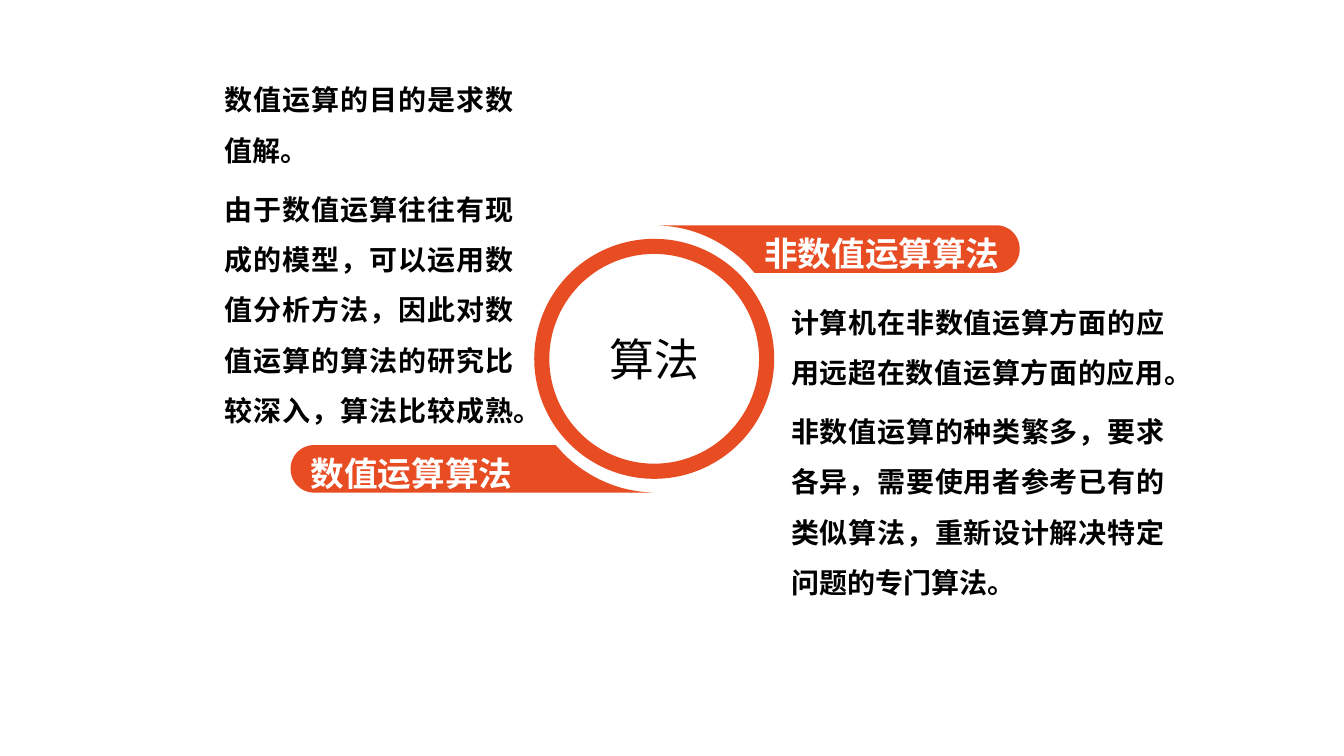
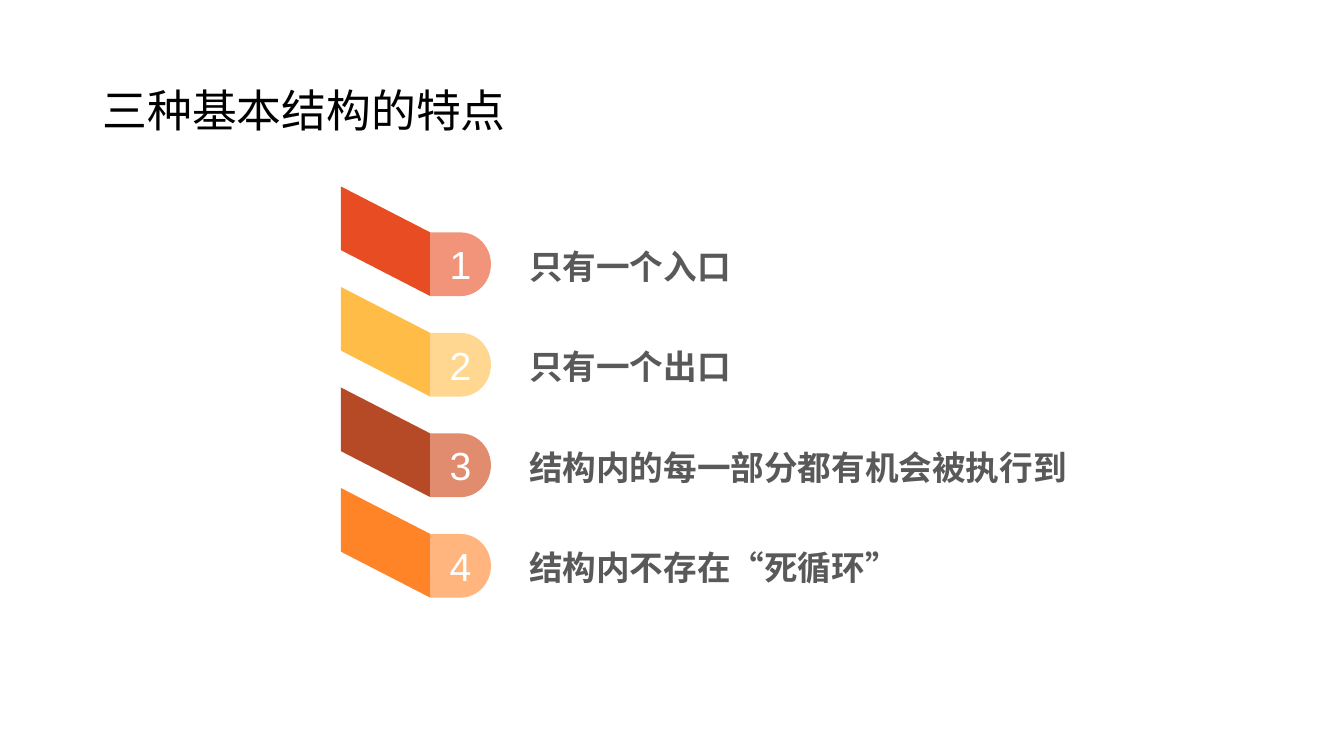
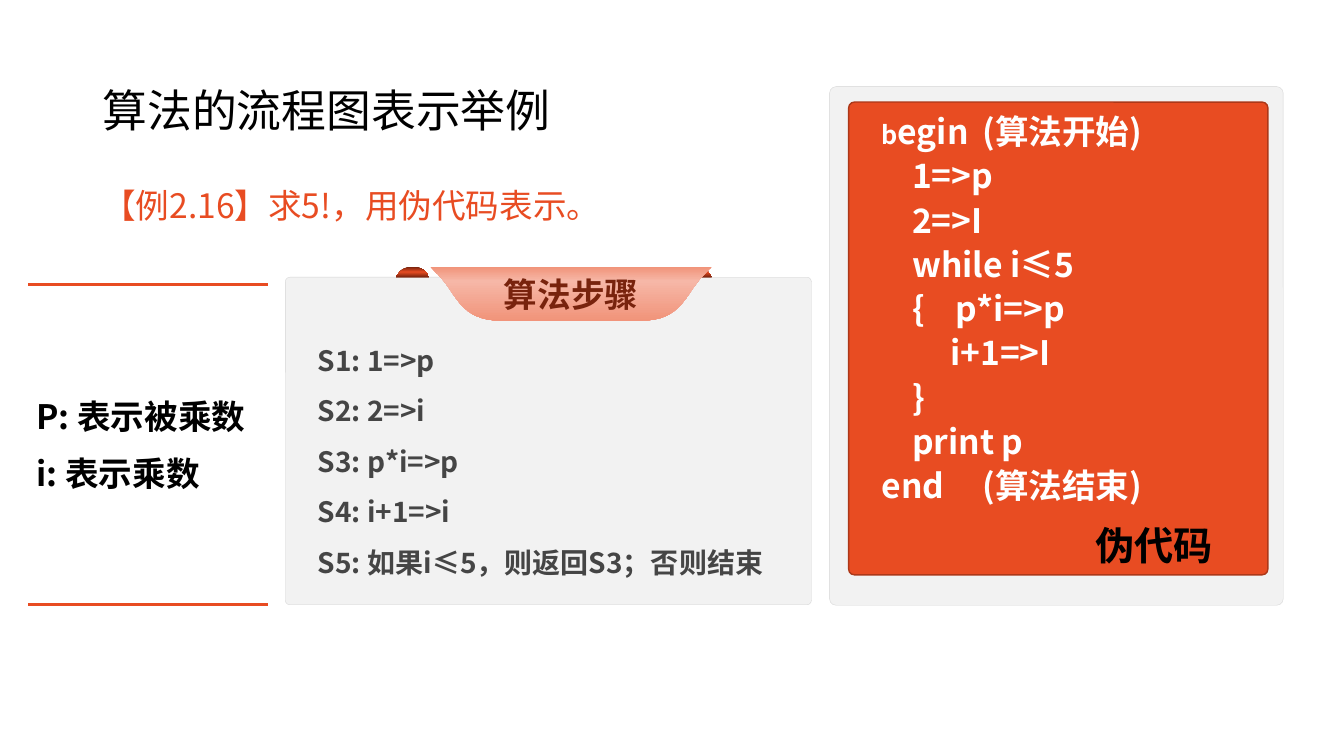
from copy import deepcopy

from lxml import etree
from pptx import Presentation
from pptx.dml.color import RGBColor
from pptx.enum.shapes import MSO_CONNECTOR, MSO_SHAPE as SHAPE
from pptx.enum.text import MSO_ANCHOR as ANCHOR, MSO_AUTO_SIZE, PP_ALIGN as ALIGN
from pptx.oxml.ns import qn
from pptx.util import Pt

NOTO = "Noto Sans CJK SC"
TITLE_ONLY, BLANK = 5, 6

BLACK = RGBColor(0x00, 0x00, 0x00)
WHITE = RGBColor(0xFF, 0xFF, 0xFF)
NUMBER_WHITE = RGBColor(0xFE, 0xFF, 0xFF)
RED = RGBColor(0xE8, 0x4C, 0x22)
SALMON = RGBColor(0xF1, 0x94, 0x7A)
PALE_SALMON = RGBColor(0xF6, 0xB7, 0xA7)
MAROON = RGBColor(0x78, 0x23, 0x0D)
RED_EDGE = RGBColor(0xAC, 0x38, 0x19)
YELLOW = RGBColor(0xFF, 0xBD, 0x47)
PALE_YELLOW = RGBColor(0xFF, 0xD7, 0x91)
RUST = RGBColor(0xB6, 0x49, 0x26)
PALE_RUST = RGBColor(0xE1, 0x8B, 0x6F)
ORANGE = RGBColor(0xFF, 0x84, 0x27)
PALE_ORANGE = RGBColor(0xFF, 0xB5, 0x7D)
PANEL = RGBColor(0xF2, 0xF2, 0xF2)
PANEL_EDGE = RGBColor(0xD5, 0xD5, 0xD5)
GREY = RGBColor(0x59, 0x59, 0x59)
DARK_GREY = RGBColor(0x45, 0x45, 0x45)

SPACED = dict(alignment=ALIGN.JUSTIFY, space_before=Pt(6), space_after=Pt(6))
PROSE = dict(size=20, bold=True, margins=(0, 11.5, 14.4, 11.5),
             alignment=ALIGN.JUSTIFY, line_spacing=1.5, space_before=Pt(6))


def write(sp, lines, size, color=BLACK, bold=False, latin=NOTO,
          anchor=ANCHOR.MIDDLE, margins=(7.2, 3.6, 7.2, 3.6), **para):
    """Fill a shape with paragraphs; a line is a string or a list of (text, size)."""
    tf = sp.text_frame
    left, top, right, bottom = map(Pt, margins)
    frame = dict(word_wrap=True, auto_size=MSO_AUTO_SIZE.NONE, vertical_anchor=anchor,
                 margin_left=left, margin_top=top, margin_right=right, margin_bottom=bottom)
    for name, value in frame.items():
        setattr(tf, name, value)
    for i, line in enumerate(lines):
        p = tf.paragraphs[0] if i == 0 else tf.add_paragraph()
        for name, value in ({"alignment": ALIGN.LEFT} | para).items():
            if i or name != "space_before":
                setattr(p, name, value)
        for text, points in [(line, size)] if isinstance(line, str) else line:
            r = p.add_run()
            r.text = text
            for name, value in dict(name=latin, size=Pt(points), bold=bold).items():
                setattr(r.font, name, value)
            r.font.color.rgb = color
            etree.SubElement(r.font._element, qn("a:ea"), typeface=NOTO)


def paint(sp, fill, edge=None, width=0):
    """Fill with a colour, or downwards with a list of (position, colour) stops."""
    sp.shadow.inherit = False
    if isinstance(fill, list):
        sp.fill.gradient()
        sp.fill.gradient_angle = 270
        stops = sp._element.spPr.find(".//" + qn("a:gsLst"))
        while len(stops) < len(fill):
            stops.append(deepcopy(stops[0]))
        for stop, (position, color) in zip(sp.fill.gradient_stops, fill):
            stop.position = position
            stop.color.rgb = color
    else:
        sp.fill.solid()
        sp.fill.fore_color.rgb = fill
    if edge is None:
        sp.line.fill.background()
    else:
        sp.line.color.rgb = edge
        sp.line.width = Pt(width)


def preset(s, kind, box, fill, edge=None, width=0, adjust=None):
    sp = s.shapes.add_shape(kind, *map(Pt, box))
    paint(sp, fill, edge, width)
    if adjust is not None:
        sp.adjustments[0] = adjust
    return sp


def card(s, box, fill, edge, width):
    return preset(s, SHAPE.ROUNDED_RECTANGLE, box, fill, edge, width, adjust=0.014)


def text_box(s, box, lines, size, **style):
    write(s.shapes.add_textbox(*map(Pt, box)), lines, size, **style)


def outline(s, start, segments, fill):
    """Closed outline; a segment is [point] for a line, [c1, c2, point] for a curve."""
    points, steps = [start], 16
    for segment in segments:
        if len(segment) == 3:
            a, (b, c, d) = points[-1], segment
            for t in (k / steps for k in range(1, steps + 1)):
                u = 1 - t
                points.append(tuple(
                    u ** 3 * a[n] + 3 * u * u * t * b[n] + 3 * u * t * t * c[n] + t ** 3 * d[n]
                    for n in (0, 1)))
        else:
            points += segment
    vertices = [(Pt(x), Pt(y)) for x, y in points]
    builder = s.shapes.build_freeform(*vertices[0], scale=1.0)
    builder.add_line_segments(vertices[1:], close=True)
    sp = builder.convert_to_shape()
    paint(sp, fill)
    return sp


def rule(s, x1, x2, y):
    line = s.shapes.add_connector(MSO_CONNECTOR.STRAIGHT, Pt(x1), Pt(y), Pt(x2), Pt(y))
    line.line.color.rgb = RED
    line.line.width = Pt(2)
    etree.SubElement(line._element.spPr, qn("a:effectLst"))


def titled_slide(prs, title):
    s = prs.slides.add_slide(prs.slide_layouts[TITLE_ONLY])
    sp = s.shapes.title
    box = dict(left=Pt(66), top=Pt(28.8), width=Pt(828), height=Pt(104.4))
    for name, value in box.items():
        setattr(sp, name, value)
    write(sp, [title], 32, line_spacing=0.9)
    return s


def ring_tab(s, side, text, **style):
    """Label hugging the ring: side 1 is upper right, -1 its half-turn lower left."""
    def at(x, y):
        return 468 + side * x, 256.4 + side * y

    sp = outline(s, at(2, -95.5), [
        [at(243.4, -95.5)],
        [at(253, -95.5), at(260.4, -88), at(260.4, -78.5)],
        [at(260.4, -69), at(253, -61.5), at(243.4, -61.5)],
        [at(71, -61.5)],
        [at(65.5, -67.7)],
        [at(50, -83), at(30, -93), at(8, -95)],
    ], RED)
    write(sp, [text], 24, color=WHITE, bold=True, margins=(14.4, 3.6, 14.4, 3.6),
          line_spacing=1.2, **style)


def ribbon_fold(s, x, width):
    top, bottom, right = 190.8, 198, x + width
    outline(s, (x, bottom), [
        [(x + 2, 194.4), (x + 4.5, 191.5), (x + 9.5, top)],
        [(right - 9.5, top)],
        [(right - 4.5, 191.5), (right - 2, 194.4), (right, bottom)],
    ], [(0, MAROON), (0.49, RED), (1, MAROON)])


def ribbon(s, text):
    ribbon_fold(s, 283, 23.7)
    ribbon_fold(s, 486, 22.3)
    middle, top, bottom = 407.9, 190.8, 229
    sp = outline(s, (middle - 100.5, top), [
        [(middle + 100.5, top)],
        [(middle + 94.7, 196.4)],
        [(middle + 81.7, 209.5), (middle + 79.5, bottom), (middle + 50, bottom)],
        [(middle - 50, bottom)],
        [(middle - 79.5, bottom), (middle - 81.7, 209.5), (middle - 94.7, 196.4)],
    ], [(0, SALMON), (0.26, PALE_SALMON), (1, SALMON)])
    write(sp, [text], 24, color=MAROON, bold=True, alignment=ALIGN.CENTER)


def feature(s, i, text, dark, pale):
    """One numbered row: slanted band, number tab and text."""
    x, fold, y = 243.5, 307.3, 133.2 + 71.8 * i
    outline(s, (x, y), [[(fold, y + 32.8)], [(fold, y + 78.3)], [(x, y + 45.5)]], dark)
    tab = preset(s, SHAPE.FLOWCHART_DELAY, (fold, y + 32.8, 43.4, 45.5), pale)
    write(tab, [str(i + 1)], 28, color=NUMBER_WHITE, latin="Arial",
          margins=(6.3, 0, 0, 0), alignment=ALIGN.CENTER)
    text_box(s, (370.8, y + 29.7, 450, 39.8), [text], 24, color=GREY, bold=True,
             line_spacing=1.5)


def algorithm_kinds(prs):
    s = prs.slides.add_slide(prs.slide_layouts[BLANK])
    ring_tab(s, 1, "非数值运算算法", latin="Arial Narrow", alignment=ALIGN.RIGHT)
    ring_tab(s, -1, "数值运算算法")
    ring = preset(s, SHAPE.DONUT, (381.6, 170.6, 171.4, 171.4), RED, adjust=0.063)
    write(ring, ["算法"], 32, margins=(0, 0, 0, 0), alignment=ALIGN.CENTER)
    text_box(s, (160.6, 148.3, 221, 168.5), [
        "数值运算的目的是求数值解。",
        "由于数值运算往往有现成的模型，可以运用数值分析方法，因此对数值运算的算法的研究比较深入，算法比较成熟。",
    ], anchor=ANCHOR.BOTTOM, **PROSE)
    text_box(s, (565.2, 194.4, 280.8, 136), [
        "计算机在非数值运算方面的应用远超在数值运算方面的应用。",
        "非数值运算的种类繁多，要求各异，需要使用者参考已有的类似算法，重新设计解决特定问题的专门算法。",
    ], anchor=ANCHOR.TOP, **PROSE)


def structure_features(prs):
    s = titled_slide(prs, "三种基本结构的特点")
    rows = [
        ("只有一个入口", RED, SALMON),
        ("只有一个出口", YELLOW, PALE_YELLOW),
        ("结构内的每一部分都有机会被执行到", RUST, PALE_RUST),
        ("结构内不存在“死循环”", ORANGE, PALE_ORANGE),
    ]
    for i, row in enumerate(rows):
        feature(s, i, *row)


def pseudocode_example(prs):
    s = titled_slide(prs, "算法的流程图表示举例")
    text_box(s, (66, 123.1, 654.5, 46), ["【例2.16】求5!，用伪代码表示。"], 24,
             color=RED, anchor=ANCHOR.TOP, line_spacing=1.2)

    steps = card(s, (203.8, 198, 375.8, 234), PANEL, PANEL_EDGE, 0.25)
    write(steps, ["S1: 1=>p", "S2: 2=>i", "S3: p*i=>p", "S4: i+1=>i",
                  "S5: 如果i≤5，则返回S3；否则结束"], 20, color=DARK_GREY, bold=True,
          margins=(22.3, 56.9, 22.3, 28.1), **SPACED)
    ribbon(s, "算法步骤")

    for y in (203, 432):
        rule(s, 20.2, 191.5, y)
    text_box(s, (20.2, 203, 171.4, 229), ["P: 表示被乘数", "i: 表示乘数"], 24, bold=True,
             margins=(5.8, 5.8, 5.8, 5.8), **SPACED)

    card(s, (592.6, 61.9, 324, 370.4), PANEL, PANEL_EDGE, 0.25)
    code = card(s, (606.2, 72.9, 299.5, 337.7), RED, RED_EDGE, 1)
    write(code, [
        [("b", 18), ("egin\t(算法开始)", 24)],
        "    1=>p",
        "    2=>I",
        "    while i≤5",
        "    {    p*i=>p",
        "         i+1=>I",
        "    }",
        "    print p",
        "end\t(算法结束)",
    ], 24, color=WHITE, bold=True, anchor=ANCHOR.TOP, margins=(22.3, 14.4, 22.3, 14.4),
          line_spacing=Pt(19.6), **SPACED)
    text_box(s, (775.4, 368.6, 118.8, 41), ["伪代码"], 28, bold=True,
             anchor=ANCHOR.TOP, alignment=ALIGN.JUSTIFY)


def main():
    prs = Presentation()
    prs.slide_width, prs.slide_height = Pt(960), Pt(540)
    algorithm_kinds(prs)
    structure_features(prs)
    pseudocode_example(prs)
    prs.save("out.pptx")


if __name__ == "__main__":
    main()
